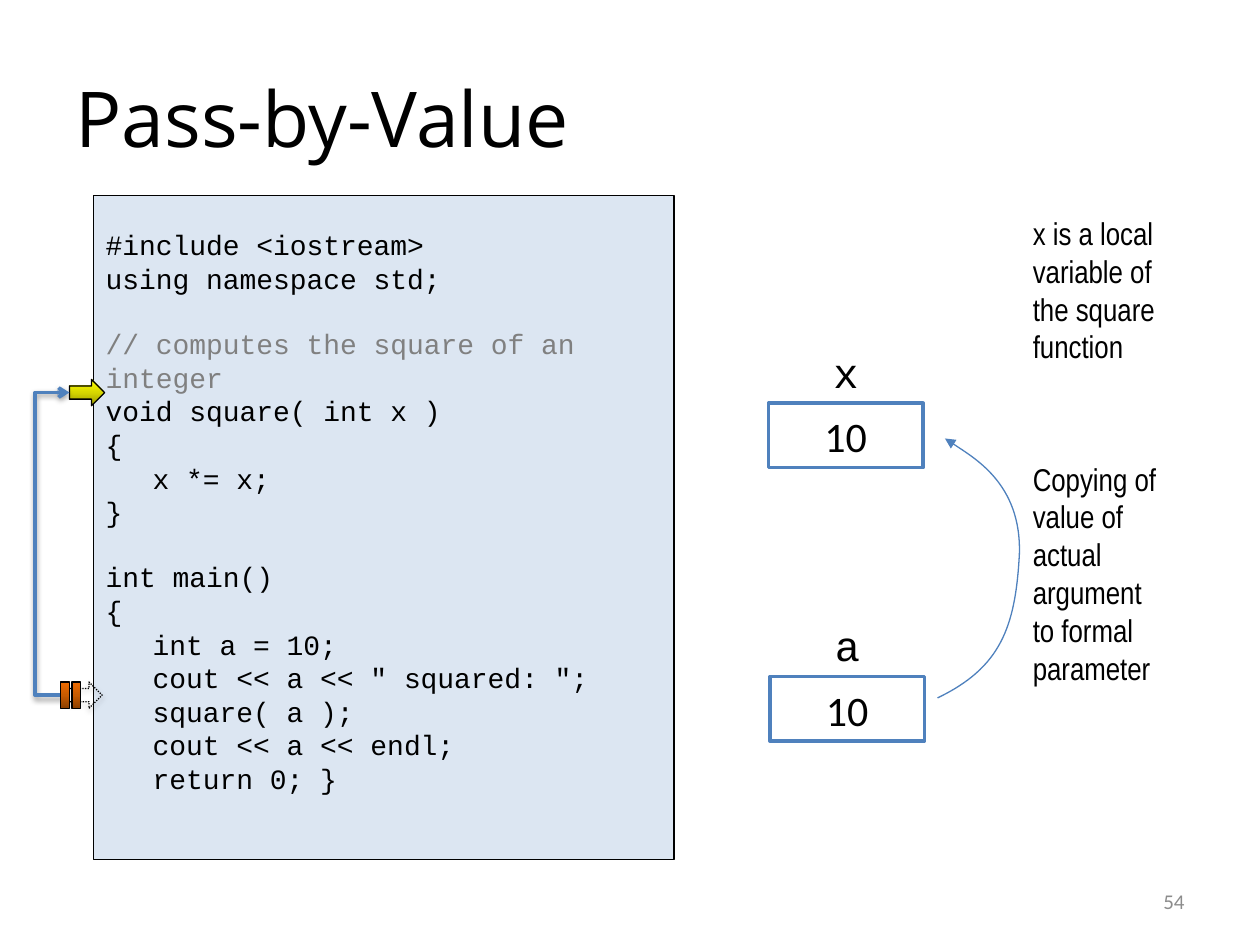
import copy

import pptx
import pptx.dml.color
import pptx.enum.dml
import pptx.enum.shapes
import pptx.enum.text
import pptx.oxml
import pptx.oxml.ns
import pptx.util

Cm = pptx.util.Cm
Pt = pptx.util.Pt
RGBColor = pptx.dml.color.RGBColor
MSO_SHAPE = pptx.enum.shapes.MSO_SHAPE
PP_ALIGN = pptx.enum.text.PP_ALIGN
MSO_ANCHOR = pptx.enum.text.MSO_ANCHOR
qn = pptx.oxml.ns.qn

BLACK = RGBColor(0, 0, 0)
WHITE = RGBColor(255, 255, 255)
GREY = RGBColor(0x80, 0x80, 0x80)
NUMBER_GREY = RGBColor(0x8C, 0x8C, 0x8C)
PALE_BLUE = RGBColor(0xDC, 0xE6, 0xF2)
BLUE = RGBColor(0x4F, 0x81, 0xBD)
YELLOWS = [RGBColor(0x97, 0x97, 0), RGBColor(0xD7, 0xD7, 0), RGBColor(0xFF, 0xFF, 0)]
ORANGES = [RGBColor(0x8D, 0x40, 0), RGBColor(0xC8, 0x5B, 0), RGBColor(0xEE, 0x6B, 0)]

CODE_SIZE = 16
CODE_LINE = 18.1
CODE = """#include <iostream>
using namespace std;

// computes the square of an integer
void square( int x )
{
\tx *= x;
}

int main()
{
\tint a = 10;
\tcout << a << " squared: ";
\tsquare( a );
\tcout << a << endl;
\treturn 0; }"""


def append_xml(parent, xml):
    """Append a drawing element, written with the prefix a, to parent."""
    declaration = pptx.oxml.ns.nsdecls("a")
    name, rest = xml.split(">", 1) if not xml.endswith("/>") or xml.count("<") > 1 else (xml[:-2], "")
    closing = ">" + rest if rest else "/>"
    parent.append(pptx.oxml.parse_xml(f"{name} {declaration}{closing}"))


def set_shadow(shape, opacity=0):
    """Give the shape a soft shadow below it, or none at opacity 0."""
    effect = "<a:effectLst/>"
    if opacity:
        effect = ('<a:effectLst><a:outerShdw blurRad="39400" dist="21600" dir="5400000" rotWithShape="0">'
                  f'<a:srgbClr val="000000"><a:alpha val="{opacity * 1000}"/></a:srgbClr>'
                  '</a:outerShdw></a:effectLst>')
    append_xml(shape._element.spPr, effect)


def set_line(shape, colour, width, head=None):
    """Set the outline and, if named, the arrowhead at its end."""
    shape.line.color.rgb = colour
    shape.line.width = Pt(width)
    if head:
        append_xml(shape.line._get_or_add_ln(), f'<a:tailEnd type="{head}"/>')


def set_gradient(shape, colours):
    """Fill from bottom to top with three evenly spaced colours."""
    shape.fill.gradient()
    shape.fill.gradient_angle = 90
    stop_list = shape.fill.gradient_stops[0]._gs.getparent()
    stop_list.insert(1, copy.deepcopy(stop_list[0]))
    for index, (stop, colour) in enumerate(zip(shape.fill.gradient_stops, colours)):
        stop.color.rgb = colour
        stop.position = index / 2


def add_block(shapes, kind, left, top, width, height, colour=BLACK, line=0.75, opacity=0):
    """Add an outlined preset shape without fill."""
    shape = shapes.add_shape(kind, Cm(left), Cm(top), Cm(width), Cm(height))
    shape.fill.background()
    set_line(shape, colour, line)
    set_shadow(shape, opacity)
    return shape


def add_label(slide, text, left, top, width, height, font, size, colour=BLACK,
              align=PP_ALIGN.LEFT, anchor=MSO_ANCHOR.TOP):
    """Add one paragraph of text in a box."""
    frame = slide.shapes.add_textbox(Cm(left), Cm(top), Cm(width), Cm(height)).text_frame
    frame.word_wrap = True
    frame.vertical_anchor = anchor
    frame.text = text
    frame.paragraphs[0].alignment = align
    format_run(frame.paragraphs[0], font, size, colour)


def format_run(paragraph, font, size, colour):
    """Format the only run of a paragraph."""
    run = paragraph.runs[0]
    run.font.name = font
    run.font.size = Pt(size)
    run.font.color.rgb = colour


def add_code(slide, left, top, width, height):
    """Add the listing panel; gaps between sections are paragraph spacing."""
    panel = add_block(slide.shapes, MSO_SHAPE.RECTANGLE, left, top, width, height)
    panel.fill.solid()
    panel.fill.fore_color.rgb = PALE_BLUE
    frame = panel.text_frame
    frame.word_wrap = True
    frame.vertical_anchor = MSO_ANCHOR.MIDDLE
    frame.margin_bottom = Cm(0.77)
    sections = [section.split("\n") for section in CODE.split("\n\n")]
    frame.text = "\n".join(line for section in sections for line in section)
    starts = [section[0] for section in sections[1:]]
    for paragraph in frame.paragraphs:
        paragraph.alignment = PP_ALIGN.LEFT
        if paragraph.text in starts:
            paragraph.space_before = Pt(CODE_LINE)
        stops = "".join(f'<a:tab pos="{Cm(stop)}" algn="l"/>' for stop in (0.95, 1.9))
        append_xml(paragraph._p.get_or_add_pPr(), f"<a:tabLst>{stops}</a:tabLst>")
        format_run(paragraph, "Courier New", CODE_SIZE,
                   GREY if paragraph.text.startswith("//") else BLACK)


def add_call_markers(slide, left, top, drop):
    """Add the current-line arrow, the paused arrow below it and their link."""
    height = 0.53
    arrow = add_block(slide.shapes, MSO_SHAPE.RIGHT_ARROW, left, top, 0.71, height)
    set_gradient(arrow, YELLOWS)

    end_y = top + height / 2
    link = slide.shapes.add_connector(
        pptx.enum.shapes.MSO_CONNECTOR.ELBOW,
        Cm(left - 0.05), Cm(end_y + drop), Cm(left), Cm(end_y))
    guides = link._element.spPr.find(qn("a:prstGeom")).get_or_add_avLst()
    append_xml(guides, f'<a:gd name="adj1" fmla="val {round(-0.64 / 0.05 * 100000)}"/>')
    set_line(link, BLUE, 2, "arrow")
    set_shadow(link, 38)

    group = slide.shapes.add_group_shape()
    paused = add_block(group.shapes, MSO_SHAPE.RIGHT_ARROW, left - 0.05, top + drop,
                       0.71, height, opacity=35)
    paused.line.dash_style = pptx.enum.dml.MSO_LINE.ROUND_DOT
    for offset in (-0.18, 0.05):
        bar = add_block(group.shapes, MSO_SHAPE.RECTANGLE, left + offset, top + drop, 0.18, height)
        set_gradient(bar, ORANGES)


def add_variable(slide, name, value, left, top):
    """Add a memory cell with its value and the name above it."""
    cell = add_block(slide.shapes, MSO_SHAPE.RECTANGLE, left, top, 3.12, 1.3, BLUE, 2)
    cell.fill.solid()
    cell.fill.fore_color.rgb = WHITE
    add_label(slide, name, left + 1.06, top - 1.27, 0.99, 1.27, "Courier New", 24)
    add_label(slide, value, left + 0.88, top + 0.03, 1.93, 1.27, "Calibri", 24)


def add_copy_arrow(slide, left, top):
    """Add the curved arrow from the lower cell to the upper one."""
    points = [(0, 5.23), (1.27, 4.62), (1.57, 3.81), (1.65, 2.34),
              (1.7, 0.89), (0.15, 0), (0.15, 0)]
    points = [(Cm(left + x), Cm(top + y)) for x, y in points]
    builder = slide.shapes.build_freeform(*points[0])
    builder.add_line_segments(points[1:], close=False)
    curve = builder.convert_to_shape()
    outline = next(curve._element.iter(qn("a:path")))
    segments = list(outline)[1:]
    for first in range(0, len(segments), 3):
        append_xml(outline, "<a:cubicBezTo/>")
        for segment in segments[first:first + 3]:
            outline[-1].append(segment[0])
            outline.remove(segment)
    curve.fill.background()
    set_line(curve, BLUE, 0.75, "triangle")
    set_shadow(curve)


def build_slide(presentation):
    """Place every region of the slide."""
    slide = presentation.slides.add_slide(presentation.slide_layouts[6])
    add_label(slide, "Pass-by-Value", 1.27, 0.76, 22.86, 3.18, "Open Sans", 44,
              anchor=MSO_ANCHOR.MIDDLE)
    add_label(slide, "54", 18.21, 17.65, 5.92, 1.02, "Calibri", 12, NUMBER_GREY,
              PP_ALIGN.RIGHT, MSO_ANCHOR.MIDDLE)
    add_code(slide, 1.88, 3.94, 11.71, 13.39)
    add_call_markers(slide, 1.4, 7.65, 6.1)
    add_variable(slide, "a", "10", 15.52, 13.64)
    add_variable(slide, "x", "10", 15.49, 8.13)
    add_copy_arrow(slide, 18.9, 8.84)
    add_label(slide, "Copying of value of actual argument to formal parameter",
              20.57, 9.14, 3.02, 4.88, "Arial Narrow", 18)
    add_label(slide, "x is a local variable of the square function",
              20.57, 4.19, 3.02, 3.33, "Arial Narrow", 18)


presentation = pptx.Presentation()
presentation.slide_width = Cm(25.4)
presentation.slide_height = Cm(19.05)
build_slide(presentation)
presentation.save("out.pptx")
